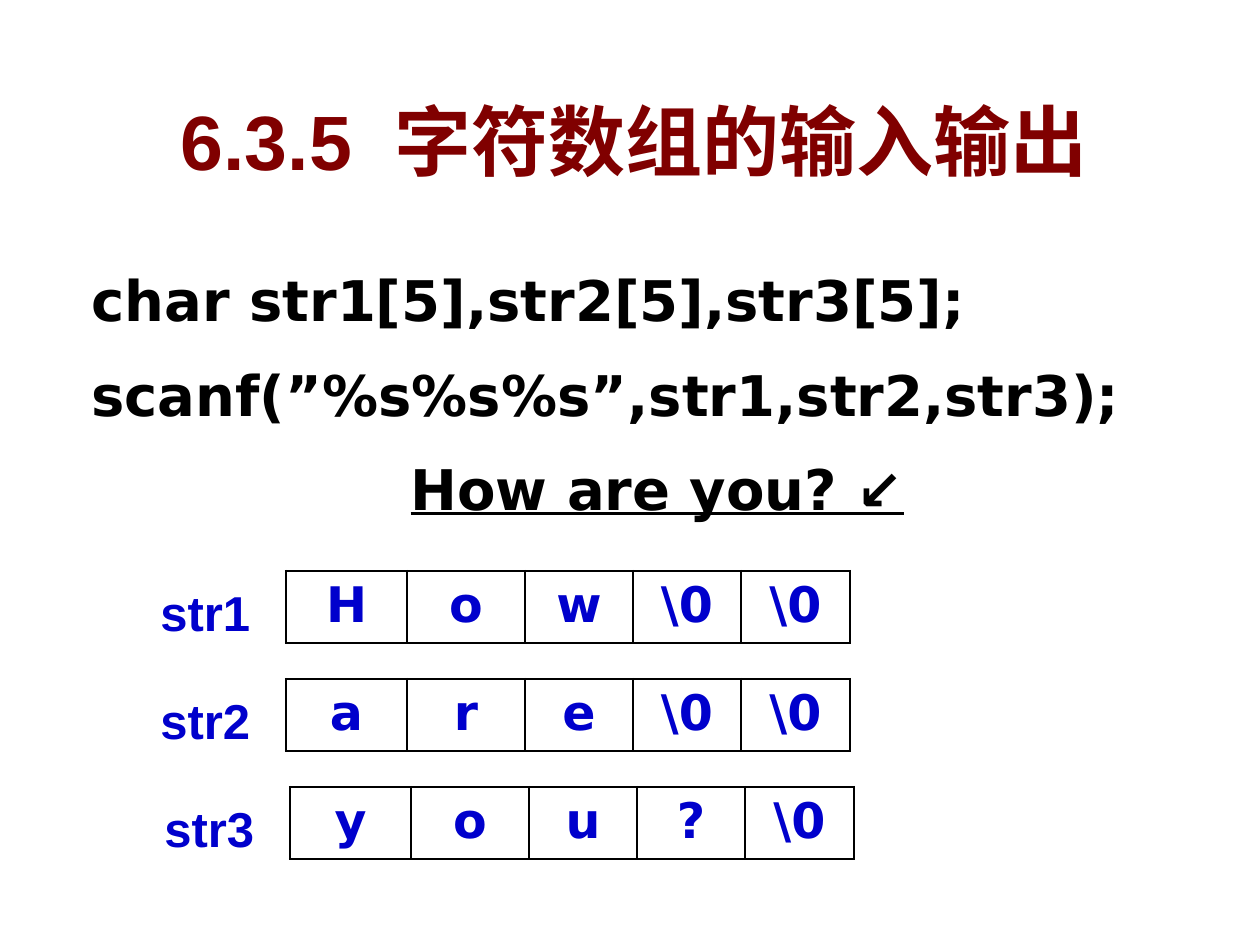
import pptx
import pptx.util
import pptx.dml.color
import pptx.enum.text
import pptx.oxml
import pptx.oxml.ns

PX = 914400 / 126
COLORS = {"title": "800000", "code": "000000", "cell": "0000CC", "line": "000000", "fill": "FFFFFF", "shadow": "C0C0C0"}
NS = pptx.oxml.ns.nsdecls("a")
LEFT = pptx.enum.text.PP_ALIGN.LEFT
CENTER = pptx.enum.text.PP_ALIGN.CENTER
TOP = pptx.enum.text.MSO_ANCHOR.TOP
MIDDLE = pptx.enum.text.MSO_ANCHOR.MIDDLE


def px(n):
    return round(n * PX)


def add_text(p, text, size=28, font="DejaVu Sans", color="cell", align=LEFT, underline=None):
    p.alignment = align
    r = p.add_run()
    r.text = text
    r.font.size = pptx.util.Pt(size)
    r.font.bold = True
    r.font.underline = underline
    r.font.color.rgb = pptx.dml.color.RGBColor.from_string(COLORS[color])
    r.font.name = font
    return r


def add_box(x, y, w, h, anchor=TOP):
    tf = s.shapes.add_textbox(px(x), px(y), px(w), px(h)).text_frame
    tf.word_wrap = True
    tf.vertical_anchor = anchor
    return tf


prs = pptx.Presentation()
prs.slide_width, prs.slide_height = px(1260), px(945)
s = prs.slides.add_slide(prs.slide_layouts[6])

tf = add_box(79, 246, 1157, 384)
lines = [
    ("char str1[5],str2[5],str3[5];", LEFT, None),
    ("scanf(”%s%s%s”,str1,str2,str3);", LEFT, None),
    ("How are you? ↙", CENTER, True),
]
for i, (text, align, underline) in enumerate(lines):
    p = tf.add_paragraph() if i else tf.paragraphs[0]
    p.line_spacing = 1.2
    p.space_before = pptx.util.Pt(8 if i else 0)
    add_text(p, text, size=32, color="code", align=align, underline=underline)
    pPr = p._p.get_or_add_pPr()
    pPr.set("marL", str(px(48)))
    pPr.set("indent", str(px(-48)))

p = add_box(39, 87, 1191, 106, anchor=MIDDLE).paragraphs[0]
for text, spacing in [("6.3.5", 0), (" ", 1200), ("字符数组的输入输出", 0)]:
    r = add_text(p, text, size=44, font="Arial", color="title", align=CENTER)
    rPr = r._r.get_or_add_rPr()
    rPr.set("spc", str(spacing))
    rPr.find(pptx.oxml.ns.qn("a:solidFill")).addnext(pptx.oxml.parse_xml(
        f'<a:effectLst {NS}><a:outerShdw dist="35921" dir="2700000">'
        f'<a:srgbClr val="{COLORS["shadow"]}"/></a:outerShdw></a:effectLst>'))

widths = [121, 118, 108, 108, 109]
arrays = [
    ("str1", ["H", "o", "w", "\\0", "\\0"], 286),
    ("str2", ["a", "r", "e", "\\0", "\\0"], 286),
    ("str3", ["y", "o", "u", "?", "\\0"], 290),
]
for i, (name, chars, x) in enumerate(arrays):
    y = 571 + 108 * i
    table = s.shapes.add_table(1, len(chars), px(x), px(y), px(sum(widths)), px(72)).table
    for j, (char, width) in enumerate(zip(chars, widths)):
        table.columns[j].width = px(width)
        cell = table.cell(0, j)
        add_text(cell.text_frame.paragraphs[0], char, align=CENTER)
        tcPr = cell._tc.get_or_add_tcPr()
        for side in ("lnL", "lnR", "lnT", "lnB"):
            tcPr.append(pptx.oxml.parse_xml(
                f'<a:{side} {NS} w="18669"><a:solidFill><a:srgbClr val="{COLORS["line"]}"/>'
                f'</a:solidFill></a:{side}>'))
        cell.fill.solid()
        cell.fill.fore_color.rgb = pptx.dml.color.RGBColor.from_string(COLORS["fill"])
    tf = add_box(x - 138, y, 129, 72)
    tf.margin_top = px(11)
    tf.margin_bottom = 0
    add_text(tf.paragraphs[0], name, font="Arial")

prs.save("out.pptx")
